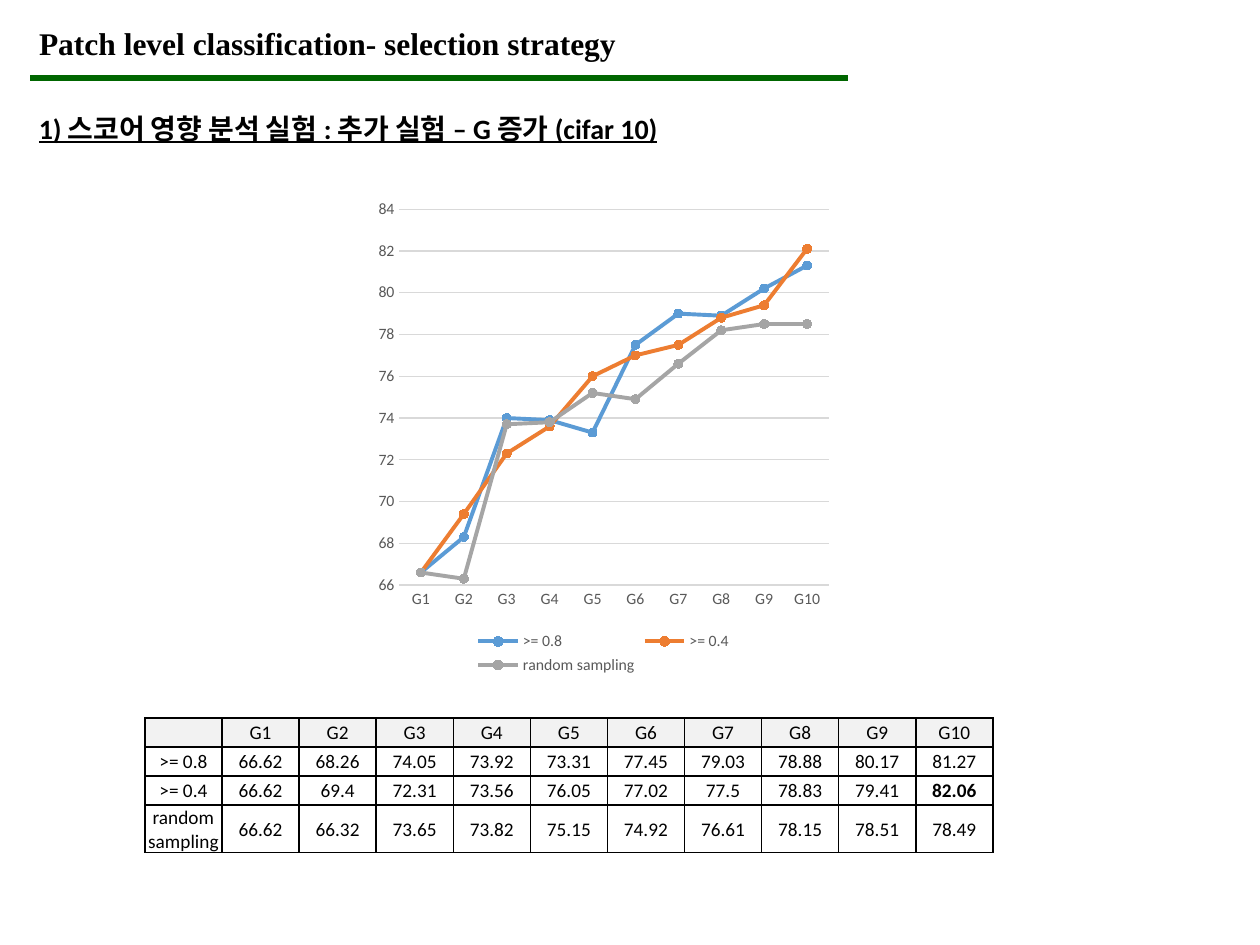
from lxml import etree
from pptx import Presentation
from pptx.chart.data import CategoryChartData
from pptx.dml.color import RGBColor
from pptx.enum.chart import XL_CHART_TYPE, XL_LEGEND_POSITION, XL_MARKER_STYLE, XL_TICK_MARK
from pptx.enum.lang import MSO_LANGUAGE_ID
from pptx.enum.shapes import MSO_CONNECTOR
from pptx.enum.text import MSO_ANCHOR, MSO_AUTO_SIZE, PP_ALIGN
from pptx.oxml import parse_xml
from pptx.oxml.ns import nsdecls, qn
from pptx.util import Inches, Pt

LINE_MARKERS = XL_CHART_TYPE.LINE_MARKERS
BOTTOM = XL_LEGEND_POSITION.BOTTOM
CIRCLE = XL_MARKER_STYLE.CIRCLE
NO_TICK = XL_TICK_MARK.NONE
KOREAN = MSO_LANGUAGE_ID.KOREAN
STRAIGHT = MSO_CONNECTOR.STRAIGHT
MIDDLE = MSO_ANCHOR.MIDDLE
GROW = MSO_AUTO_SIZE.SHAPE_TO_FIT_TEXT
CENTER, LEFT = PP_ALIGN.CENTER, PP_ALIGN.LEFT

COLORS = {
    "text": "000000",
    "rule": "006600",
    "header": "F2F2F2",
    "cell": "FFFFFF",
    "grid": "D9D9D9",
    "label": "595959",
    ">= 0.8": "5B9BD5",
    ">= 0.4": "ED7D31",
    "random sampling": "A5A5A5",
}
GROUPS = [f"G{i}" for i in range(1, 11)]
ACCURACY = {
    ">= 0.8": [66.62, 68.26, 74.05, 73.92, 73.31, 77.45, 79.03, 78.88, 80.17, 81.27],
    ">= 0.4": [66.62, 69.4, 72.31, 73.56, 76.05, 77.02, 77.5, 78.83, 79.41, 82.06],
    "random sampling": [66.62, 66.32, 73.65, 73.82, 75.15, 74.92, 76.61, 78.15, 78.51, 78.49],
}
BEST = max(max(vals) for vals in ACCURACY.values())


def rgb(name):
    return RGBColor.from_string(COLORS[name])


def style_font(font, size, color="text", name="Calibri", bold=False):
    font.size = Pt(size)
    font.name = name
    font.bold = bold
    font.color.rgb = rgb(color)


def style_line(line, color, width):
    line.color.rgb = rgb(color)
    line.width = Pt(width)


def add_title(s, x, y, w, h):
    title = s.shapes.title
    title.left, title.top, title.width, title.height = map(Inches, (x, y, w, h))
    tf = title.text_frame
    tf.word_wrap = True
    tf.auto_size = GROW
    p = tf.paragraphs[0]
    p.alignment = LEFT
    r = p.add_run()
    r.text = "Patch level classification- selection strategy"
    style_font(r.font, 18, name="Times New Roman", bold=True)


def add_rule(s, x, y, w):
    rule = s.shapes.add_connector(STRAIGHT, Inches(x), Inches(y), Inches(x + w), Inches(y))
    style_line(rule.line, "rule", 3)
    etree.SubElement(rule._element.spPr, qn("a:effectLst"))


def add_heading(s, x, y, w, h):
    tf = s.shapes.add_textbox(*map(Inches, (x, y, w, h))).text_frame
    tf.word_wrap = True
    tf.auto_size = GROW
    p = tf.paragraphs[0]
    p.line_spacing = 1.5
    r = p.add_run()
    r.text = "1) 스코어 영향 분석 실험 : 추가 실험 – G 증가 (cifar 10)"
    style_font(r.font, 16, bold=True)
    r.font.underline = True
    r.font.language_id = KOREAN
    etree.SubElement(r._r.get_or_add_rPr(), qn("a:ea"), typeface="Calibri")


def add_accuracy_chart(s, x, y, w, h):
    data = CategoryChartData(number_format="General")
    data.categories = GROUPS
    for name, vals in ACCURACY.items():
        data.add_series(name, [round(val, 1) for val in vals])
    chart = s.shapes.add_chart(LINE_MARKERS, *map(Inches, (x, y, w, h)), data).chart
    style_font(chart.font, 10)
    chart.has_title = False
    chart.has_legend = True
    chart.legend.position = BOTTOM
    chart.legend.include_in_layout = False
    style_font(chart.legend.font, 9, "label")

    for axis in (chart.category_axis, chart.value_axis):
        axis.major_tick_mark = axis.minor_tick_mark = NO_TICK
        style_font(axis.tick_labels.font, 9, "label")
    style_line(chart.category_axis.format.line, "grid", 0.75)
    values = chart.value_axis
    values.minimum_scale, values.maximum_scale, values.major_unit = 66, 84, 2
    values.format.line.fill.background()
    values.has_major_gridlines = True
    style_line(values.major_gridlines.format.line, "grid", 0.75)

    plot = chart.plots[0]
    plot.vary_by_categories = False
    for series in plot.series:
        series.smooth = False
        style_line(series.format.line, series.name, 2.25)
        marker = series.marker
        marker.style = CIRCLE
        marker.size = 5
        marker.format.fill.solid()
        marker.format.fill.fore_color.rgb = rgb(series.name)
        style_line(marker.format.line, series.name, 0.75)


def add_borders(cell, width):
    tcPr = cell._tc.get_or_add_tcPr()
    for side in ("lnL", "lnR", "lnT", "lnB"):
        tcPr.append(parse_xml(
            f'<a:{side} {nsdecls("a")} w="{Pt(width)}"><a:solidFill>'
            f'<a:srgbClr val="{COLORS["text"]}"/></a:solidFill></a:{side}>'))


def fill_cell(cell, value, fill):
    add_borders(cell, 1)
    cell.fill.solid()
    cell.fill.fore_color.rgb = rgb(fill)
    cell.vertical_anchor = MIDDLE
    cell.margin_left = cell.margin_right = cell.margin_top = Inches(0.01)
    cell.margin_bottom = 0
    p = cell.text_frame.paragraphs[0]
    p.alignment = CENTER
    style_font(p.font, 11)
    if value != "":
        r = p.add_run()
        r.text = str(value)
        style_font(r.font, 11, bold=value == BEST)


def add_accuracy_table(s, x, y, w, h):
    rows = [["", *GROUPS]] + [[name, *vals] for name, vals in ACCURACY.items()]
    n_rows, n_cols = len(rows), len(rows[0])
    table = s.shapes.add_table(n_rows, n_cols, *map(Inches, (x, y, w, h))).table
    table.first_row = table.horz_banding = False
    for col in table.columns:
        col.width = Inches(w / n_cols)
    row_h = 0.23
    for row in table.rows:
        row.height = Inches(row_h)
    table.rows[n_rows - 1].height = Inches(h - row_h * (n_rows - 1))
    for i, values in enumerate(rows):
        for j, value in enumerate(values):
            fill_cell(table.cell(i, j), value, "cell" if i else "header")


def main():
    prs = Presentation()
    prs.slide_width, prs.slide_height = Inches(10), Inches(7.5)
    s = prs.slides.add_slide(prs.slide_layouts[5])
    add_rule(s, 0.24, 0.62, 6.49)
    add_title(s, 0.21, 0.14, 5.18, 0.4)
    add_heading(s, 0.21, 0.7, 7.67, 0.5)
    add_accuracy_table(s, 1.15, 5.7, 6.73, 1.06)
    add_accuracy_chart(s, 2.93, 1.51, 3.72, 3.88)
    prs.save("out.pptx")


if __name__ == "__main__":
    main()
